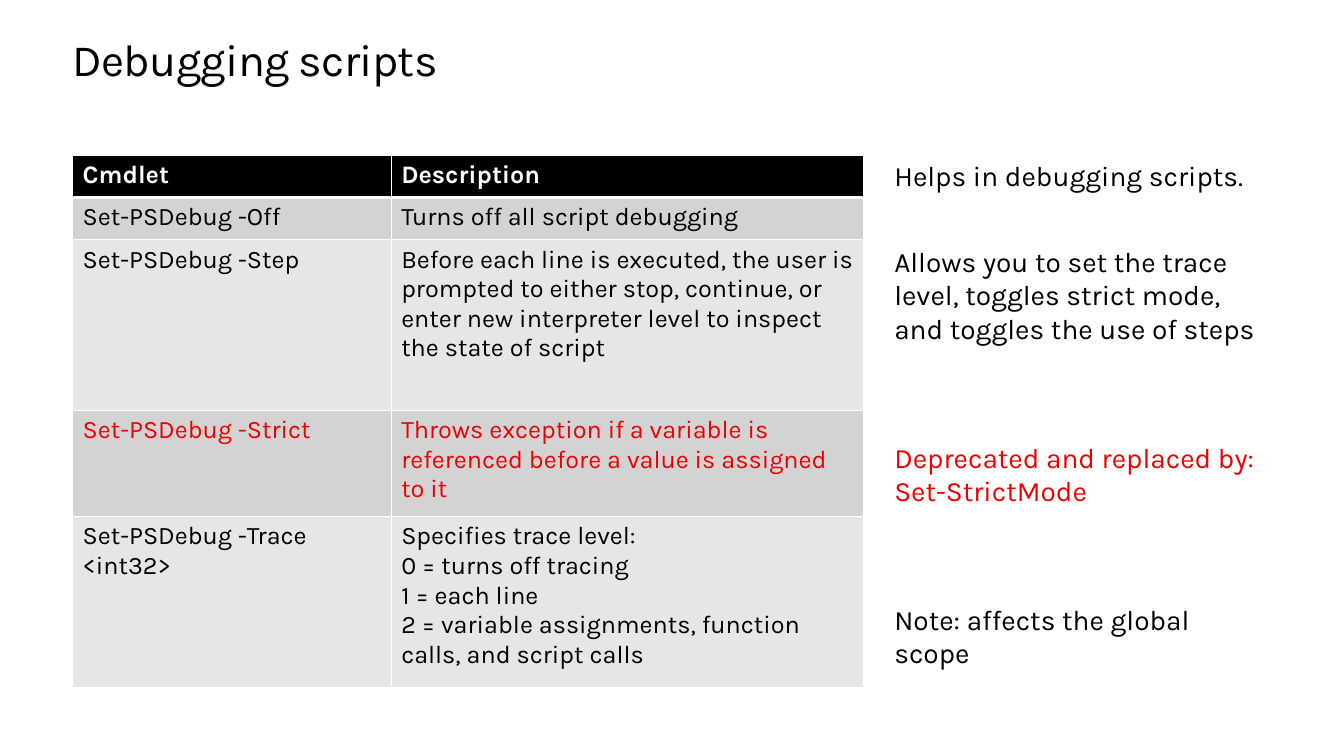
"""Build a slide on debugging scripts: a cmdlet table with side notes."""
from dataclasses import dataclass

from lxml.etree import SubElement
from pptx import Presentation
from pptx.dml.color import RGBColor as RGB
from pptx.oxml.ns import qn
from pptx.util import Inches, Pt

TITLE = "Debugging scripts"
HEADER = ("Cmdlet", "Description")
CMDLETS = [
    ("Set-PSDebug -Off", ["Turns off all script debugging"]),
    ("Set-PSDebug -Step", [
        "Before each line is executed, the user is prompted to either stop, "
        "continue, or enter new interpreter level to inspect the state of script"]),
    ("Set-PSDebug -Strict", [
        "Throws exception if a variable is referenced before a value is assigned to it"]),
    ("Set-PSDebug -Trace <int32>", [
        "Specifies trace level:\n0 = turns off tracing",
        "1 = each line",
        "2 = variable assignments, function calls, and script calls"]),
]
DEPRECATED_ROW = 3
NOTES = [
    ("Helps in debugging scripts.", "text", 0),
    ("Allows you to set the trace level, toggles strict mode, "
     "and toggles the use of steps", "text", 1),
    ("Deprecated and replaced by:\nSet-StrictMode", "alert", 2),
    ("Note: affects the global scope", "text", 2),
]


@dataclass(frozen=True)
class Theme:
    font: str = "Karla"
    text: str = "000000"
    alert: str = "EE0000"
    paper: str = "FFFFFF"
    bands: tuple = ("E6E6E6", "D3D3D3")
    title_size: float = 32
    note_size: float = 20
    cell_size: float = 18
    note_gap: float = 6.7
    note_line: float = 23.9


T = Theme()
WIDTH, HEIGHT = 13.33, 7.5
MARGIN = 0.72
CONTENT_W = WIDTH - 2 * MARGIN
NOTES_W = 3.74
NOTES_X = MARGIN + CONTENT_W - NOTES_W
TABLE_Y = 1.54
COLS = (3.16, 4.69)
ROW = 0.42
ROWS = [ROW * n for n in (1, 1, 4.03, 2.51, 4.03)]


def write(tf, text, size, color, first=True, bold=False, before=0, spacing=None, line=None):
    p = tf.paragraphs[0] if first else tf.add_paragraph()
    p.text = text
    if before:
        p.space_before = Pt(before)
    if line:
        p.line_spacing = Pt(line)
    for r in p.runs:
        r.font.name, r.font.size, r.font.bold = T.font, Pt(size), bold
        r.font.color.rgb = RGB.from_string(color)
        if spacing:
            r._r.get_or_add_rPr().set("spc", str(round(spacing * 100)))


def text_box(slide, x, y, w, h):
    tf = slide.shapes.add_textbox(*map(Inches, (x, y, w, h))).text_frame
    tf.margin_left = tf.margin_top = tf.margin_right = tf.margin_bottom = 0
    tf.word_wrap = True
    return tf


def style_cell(cell, fill, top, bottom):
    tcPr = cell._tc.get_or_add_tcPr()
    for side, width in zip("LRTB", (1, 1, top, bottom)):
        ln = SubElement(tcPr, qn(f"a:ln{side}"), w=str(Pt(width)))
        SubElement(SubElement(ln, qn("a:solidFill")), qn("a:srgbClr"), val=T.paper)
    cell.fill.solid()
    cell.fill.fore_color.rgb = RGB.from_string(fill)


def add_cmdlet_table(slide):
    frame = slide.shapes.add_table(
        len(ROWS), len(COLS),
        *map(Inches, (MARGIN, TABLE_Y, sum(COLS), sum(ROWS))))
    table = frame.table
    table.horz_banding = False
    for col, w in zip(table.columns, COLS):
        col.width = Inches(w)
    for row, h in zip(table.rows, ROWS):
        row.height = Inches(h)
    content = [[[name] for name in HEADER]] + [[[name], lines] for name, lines in CMDLETS]
    for i, row in enumerate(content):
        head = i == 0
        fill = T.text if head else T.bands[i % 2]
        color = T.paper if head else T.alert if i == DEPRECATED_ROW else T.text
        for j, lines in enumerate(row):
            cell = table.cell(i, j)
            style_cell(cell, fill, 3 if i == 1 else 1, 3 if head else 1)
            for n, text in enumerate(lines):
                write(cell.text_frame, text, T.cell_size, color, first=n == 0, bold=head)


def main():
    prs = Presentation()
    prs.slide_width, prs.slide_height = Inches(WIDTH), Inches(HEIGHT)
    s = prs.slides.add_slide(prs.slide_layouts[6])

    write(text_box(s, MARGIN, 0.35, CONTENT_W, 0.5), TITLE, T.title_size, T.text,
          spacing=-0.5, line=36.2)

    tf = text_box(s, NOTES_X, 1.57, NOTES_W, 5.28)
    for i, (text, role, skipped) in enumerate(NOTES):
        before = T.note_gap + skipped * (T.note_line + T.note_gap) if i else 0
        write(tf, text, T.note_size, getattr(T, role), first=i == 0, before=before)

    add_cmdlet_table(s)
    prs.save("out.pptx")


if __name__ == "__main__":
    main()
